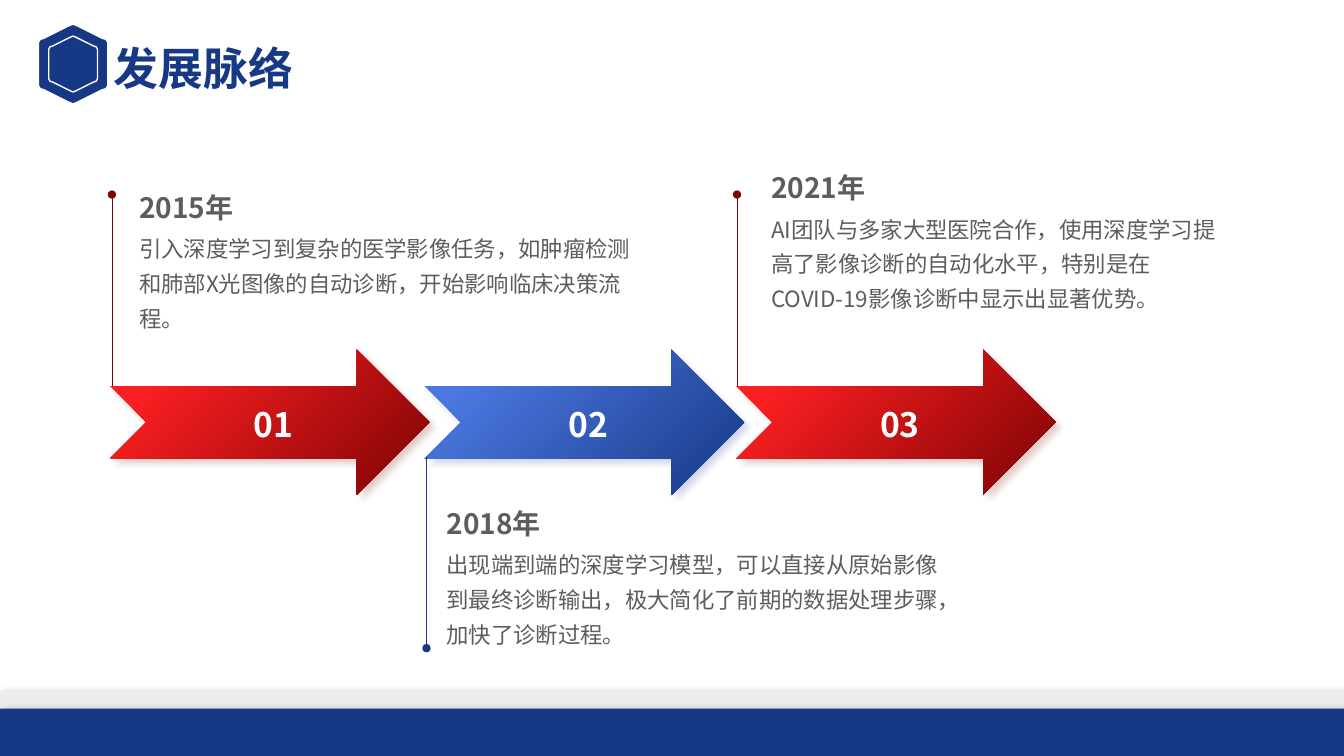
from dataclasses import dataclass

from lxml.etree import SubElement
from pptx import Presentation
from pptx.dml.color import RGBColor
from pptx.enum.shapes import MSO_CONNECTOR as Connector, MSO_SHAPE as Preset
from pptx.enum.text import MSO_ANCHOR as Anchor, PP_ALIGN as Align
from pptx.oxml.ns import qn
from pptx.util import Inches, Pt

COLORS = {
    "navy": "173885", "sky": "4A77E0", "crimson": "7D0304", "red": "FA1F21",
    "grey": "5D5D5D", "mist": "EDEDED", "white": "FFFFFF", "black": "000000",
}
TITLE_FONT, BODY_FONT = "Noto Sans CJK SC", "Noto Sans CJK JP"
ARROW_TOP, ARROW_WIDTH, ARROW_HEIGHT = 3.47, 3.17, 1.44
PIN_LENGTH = 1.9
TEXT_WIDTH = 4.88
BADGE_CENTER = (0.725, 0.635)
# Upper right quarter of the badge outline, measured from its centre
BADGE_QUARTER = [(0, -0.395), (0.015, -0.39), (0.05, -0.375), (0.29, -0.255),
                 (0.325, -0.245), (0.335, -0.23), (0.345, -0.21)]


@dataclass(frozen=True)
class Box:
    left: float
    top: float
    width: float
    height: float

    def emu(self) -> list[int]:
        return [Inches(v) for v in (self.left, self.top, self.width, self.height)]


@dataclass(frozen=True)
class Shadow:
    color: str
    blur: float
    distance: float
    angle: int


@dataclass(frozen=True)
class Milestone:
    number: str
    year: str
    story: str
    light: str
    dark: str
    arrow_left: float
    pin: tuple[float, float]
    dot: str
    year_box: Box
    story_box: Box


MILESTONES = [
    Milestone("01", "2015年",
              "引入深度学习到复杂的医学影像任务，如肿瘤检测和肺部X光图像的自动诊断，开始影响临床决策流程。",
              "red", "crimson", 1.09, (1.11, 1.93), "headEnd",
              Box(1.38, 1.63, TEXT_WIDTH, 0.59), Box(1.38, 2.25, TEXT_WIDTH, 1.25)),
    Milestone("02", "2018年",
              "出现端到端的深度学习模型，可以直接从原始影像到最终诊断输出，极大简化了前期的数据处理步骤，加快了诊断过程。",
              "sky", "navy", 4.21, (4.23, 4.53), "tailEnd",
              Box(4.43, 4.91, TEXT_WIDTH, 0.45), Box(4.43, 5.39, TEXT_WIDTH, 1.02)),
    Milestone("03", "2021年",
              "AI团队与多家大型医院合作，使用深度学习提高了影像诊断的自动化水平，特别是在COVID-19影像诊断中显示出显著优势。",
              "red", "crimson", 7.3, (7.31, 1.93), "headEnd",
              Box(7.65, 1.47, TEXT_WIDTH, 0.56), Box(7.65, 2.06, 4.46, 1.64)),
]


def rgb(name: str) -> RGBColor:
    return RGBColor.from_string(COLORS[name])


def apply(target, values: dict) -> None:
    for key, value in values.items():
        setattr(target, key, value)


def write(frame, text: str, size: int, color: str, bold: bool = False,
          font: str = BODY_FONT, paragraph_format: dict | None = None) -> None:
    paragraph = frame.paragraphs[0]
    apply(paragraph, paragraph_format or {})
    run = paragraph.add_run()
    run.text = text
    apply(run.font, {"size": Pt(size), "bold": bold, "name": font})
    run.font.color.rgb = rgb(color)
    SubElement(run.font._element, qn("a:ea"), typeface=font)


def cast_shadow(shape, shadow: Shadow) -> None:
    shape.shadow.inherit = False
    effects = shape._element.spPr.find(qn("a:effectLst"))
    outer = SubElement(effects, qn("a:outerShdw"), blurRad=str(Pt(shadow.blur)),
                       dist=str(Pt(shadow.distance)), dir=str(shadow.angle * 60000),
                       algn="tl", rotWithShape="0")
    tint = SubElement(outer, qn("a:srgbClr"), val=COLORS[shadow.color])
    SubElement(tint, qn("a:alpha"), val="20000")


def add_bar(slide, box: Box, color: str) -> None:
    bar = slide.shapes.add_shape(Preset.RECTANGLE, *box.emu())
    bar.fill.solid()
    bar.fill.fore_color.rgb = rgb(color)
    bar.line.fill.background()
    cast_shadow(bar, Shadow("black", 4, 2, 0))


def add_badge(slide, scale: float) -> None:
    """Draw a round-cornered hexagon by mirroring its quarter outline."""
    right = BADGE_QUARTER + [(x, -y) for x, y in reversed(BADGE_QUARTER)]
    outline = right + [(-x, y) for x, y in reversed(right[1:-1])]
    center_x, center_y = BADGE_CENTER
    points = [(Inches(center_x + x * scale), Inches(center_y + y * scale))
              for x, y in outline]
    builder = slide.shapes.build_freeform(*points[0])
    builder.add_line_segments(points[1:], close=True)
    badge = builder.convert_to_shape()
    badge.shadow.inherit = False
    badge.fill.solid()
    badge.fill.fore_color.rgb = rgb("navy")
    badge.line.color.rgb = rgb("white")
    badge.line.width = Pt(1)


def add_title(slide, text: str) -> None:
    title = slide.shapes.add_textbox(*Box(1.03, 0.35, 4.2, 0.59).emu())
    title.text_frame.word_wrap = True
    write(title.text_frame, text, 32, "navy", True, TITLE_FONT)


def add_arrow(slide, stage: Milestone) -> None:
    box = Box(stage.arrow_left, ARROW_TOP, ARROW_WIDTH, ARROW_HEIGHT)
    arrow = slide.shapes.add_shape(Preset.NOTCHED_RIGHT_ARROW, *box.emu())
    arrow.fill.gradient()
    arrow.fill.gradient_angle = 315
    for stop, position, color in zip(arrow.fill.gradient_stops, (0.16, 1),
                                     (stage.light, stage.dark)):
        stop.position = position
        stop.color.rgb = rgb(color)
    arrow.line.fill.background()
    cast_shadow(arrow, Shadow(stage.dark, 5, 5, 45))
    apply(arrow.text_frame, {
        "word_wrap": False, "vertical_anchor": Anchor.MIDDLE,
        "margin_left": Inches(0.16), "margin_top": Inches(0.08),
        "margin_right": Inches(0.08), "margin_bottom": Inches(0.04),
    })
    write(arrow.text_frame, stage.number, 24, "white", True,
          paragraph_format={"alignment": Align.CENTER})


def add_pin(slide, stage: Milestone) -> None:
    x, top = stage.pin
    pin = slide.shapes.add_connector(Connector.STRAIGHT, Inches(x), Inches(top),
                                     Inches(x), Inches(top + PIN_LENGTH))
    pin.line.color.rgb = rgb(stage.dark)
    pin.line.width = Pt(0.25)
    properties = pin._element.spPr
    SubElement(properties.find(qn("a:ln")), qn(f"a:{stage.dot}"), type="oval")
    SubElement(properties, qn("a:effectLst"))


def add_caption(slide, box: Box, text: str, size: int, bold: bool,
                anchor: Anchor, paragraph_format: dict) -> None:
    frame = slide.shapes.add_textbox(*box.emu()).text_frame
    apply(frame, {"word_wrap": True, "vertical_anchor": anchor, "margin_left": 0,
                  "margin_top": 0, "margin_right": 0, "margin_bottom": 0})
    write(frame, text, size, "grey", bold, paragraph_format=paragraph_format)


def main() -> None:
    deck = Presentation()
    apply(deck, {"slide_width": Inches(13.33), "slide_height": Inches(7.5)})
    slide = deck.slides.add_slide(deck.slide_layouts[6])

    add_bar(slide, Box(0, 6.85, 13.33, 0.65), "mist")
    for scale in (1, 0.7):
        add_badge(slide, scale)
    add_bar(slide, Box(0, 7.03, 13.33, 0.47), "navy")
    add_title(slide, "发展脉络")

    for stage in MILESTONES:
        add_arrow(slide, stage)
        add_caption(slide, stage.year_box, stage.year, 20, True, Anchor.BOTTOM, {})
        add_caption(slide, stage.story_box, stage.story, 16, False, Anchor.TOP,
                    {"line_spacing": 1.3})
        add_pin(slide, stage)

    deck.save("out.pptx")


if __name__ == "__main__":
    main()
